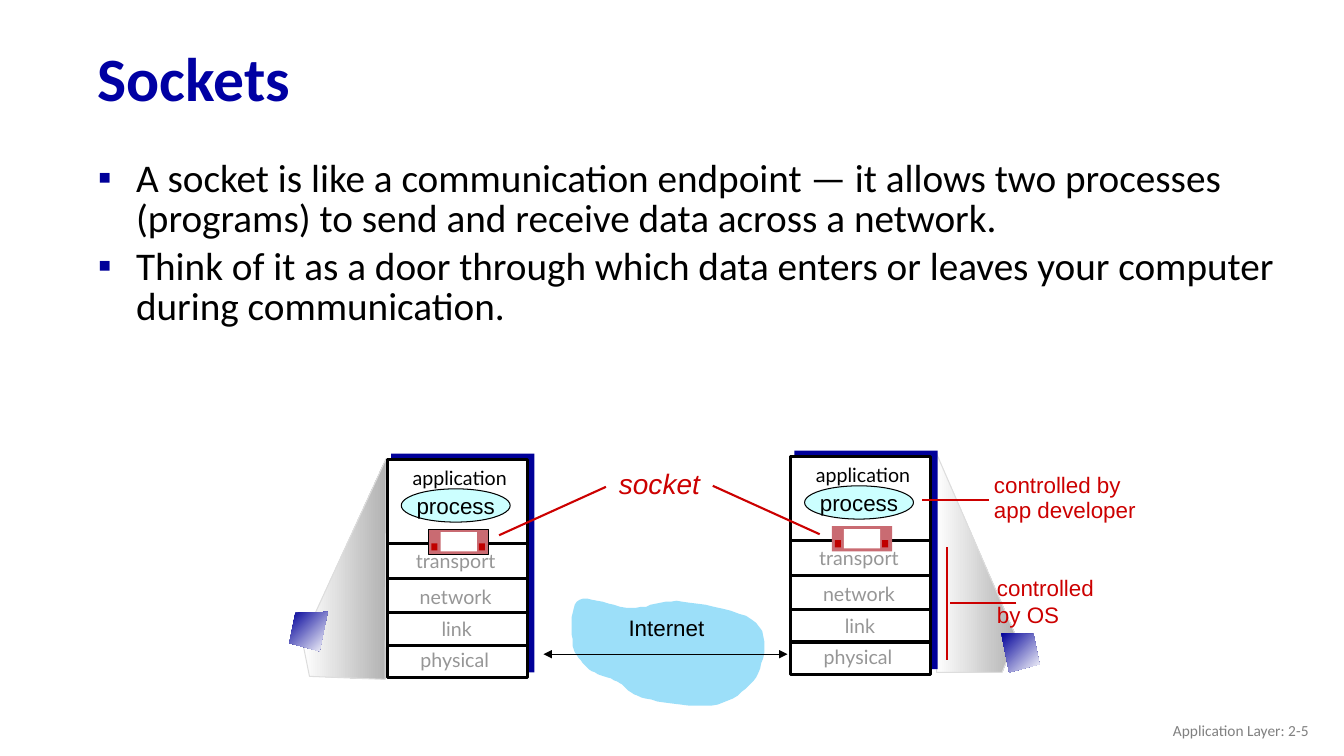
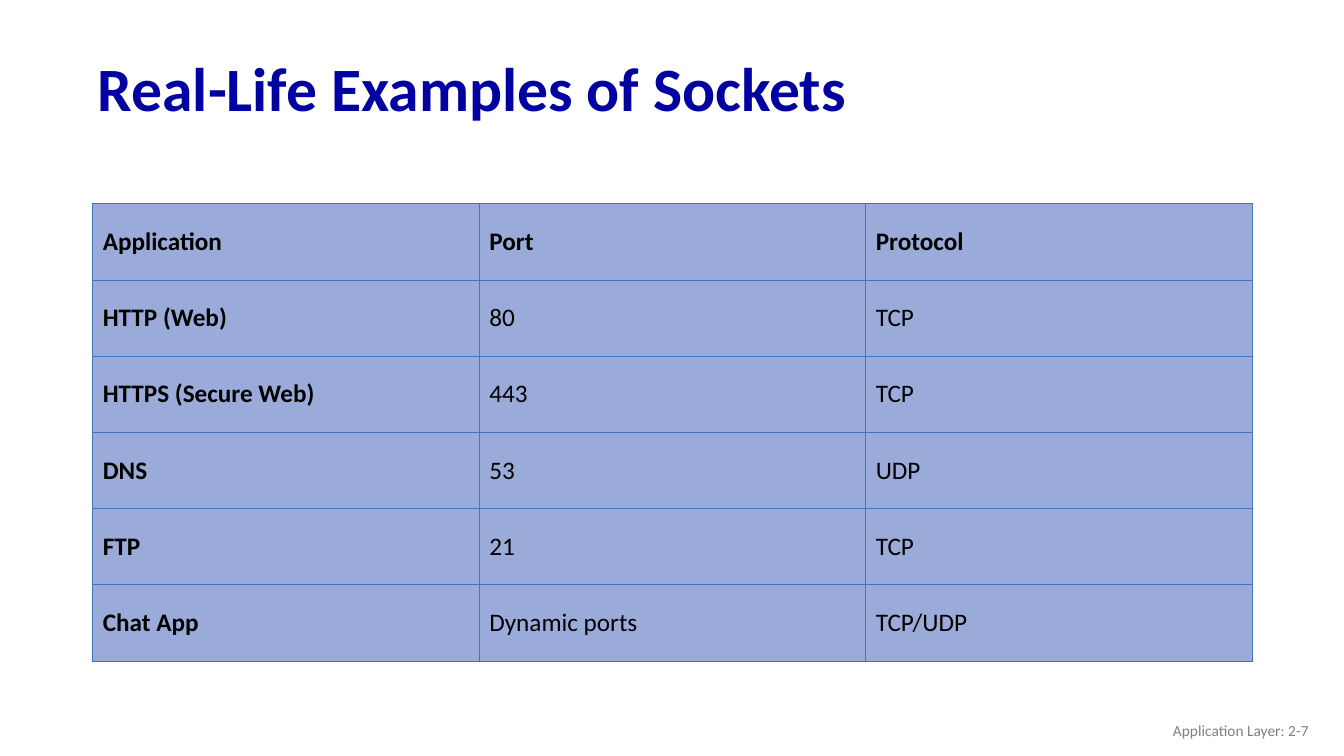
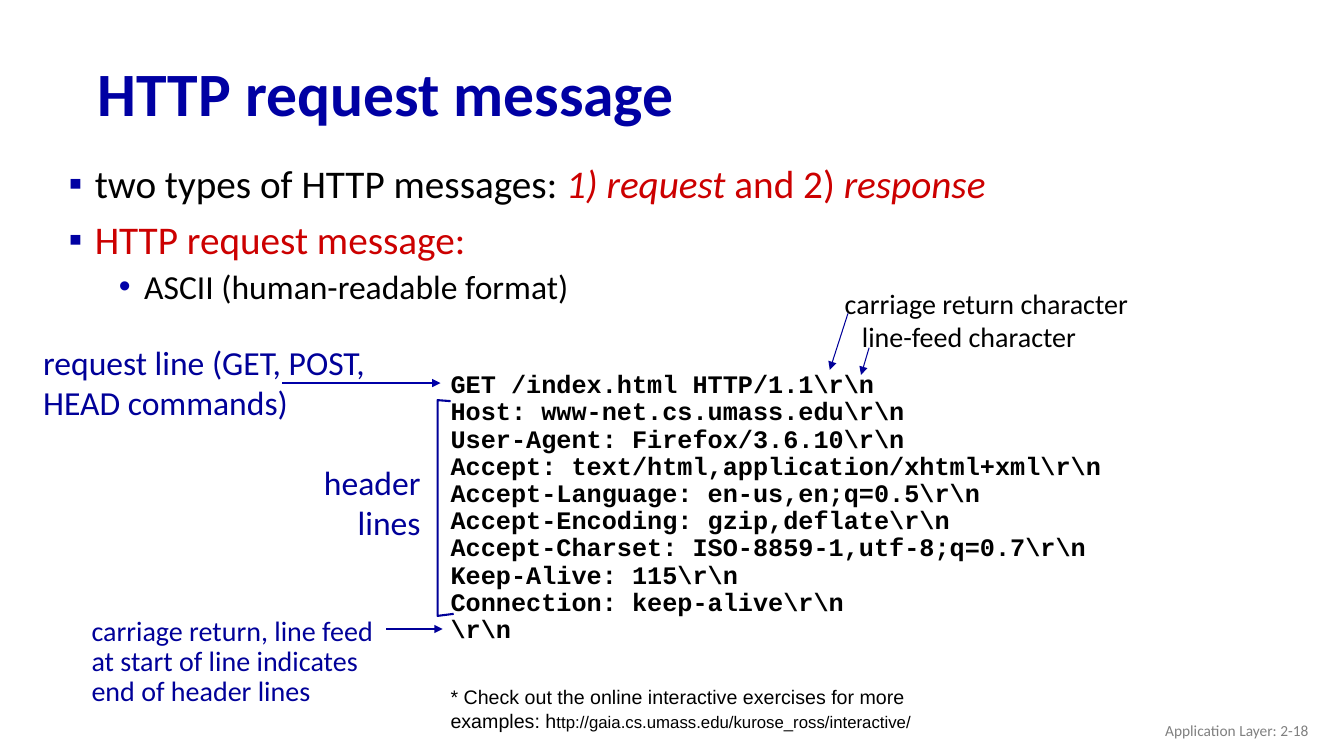
from lxml import etree
from pptx import Presentation
from pptx.dml.color import RGBColor
from pptx.enum.shapes import MSO_CONNECTOR as Connector, MSO_SHAPE as Preset
from pptx.enum.text import MSO_ANCHOR as Anchor, MSO_AUTO_SIZE as AutoSize, PP_ALIGN as Align
from pptx.oxml.ns import qn
from pptx.util import Emu, Pt

# Shared look: 100 px to the inch
SCALE = 9144
BLACK, WHITE, GREY = "000000", "FFFFFF", "969696"
TITLE_BLUE, NAVY, BULLET_BLUE, RED = "0000A3", "000099", "0000A8", "CC0000"
DARK_RED, BORDER_BLUE, TABLE_BLUE = "C00000", "4472C4", "9BABD9"
TITLE_LAYOUT, LIST_LAYOUT = 5, 1


def px(length):
    return Emu(round(length * SCALE))


def color(code):
    return RGBColor.from_string(code)


def add_element(parent, tag, **attributes):
    return etree.SubElement(parent, qn(tag), attributes)


# Text
def add_bullet(paragraph, character, bullet_color):
    properties = paragraph._p.get_or_add_pPr()
    add_element(add_element(properties, "a:buClr"), "a:srgbClr", val=bullet_color)
    add_element(properties, "a:buFont", typeface="Arial")
    add_element(properties, "a:buChar", char=character)


def format_paragraph(paragraph, runs, align=Align.LEFT, spacing=1, before=0, indent=None,
                     level=0, bullet=None, bullet_color=BLACK, size=18, font="Calibri",
                     ink=BLACK, bold=False, italic=False):
    if bullet:
        add_bullet(paragraph, bullet, bullet_color)
    if indent:
        margin, hanging = indent
        properties = paragraph._p.get_or_add_pPr()
        properties.set("marL", str(px(margin)))
        properties.set("indent", str(-px(hanging)))
    paragraph.level = level
    paragraph.alignment = align
    paragraph.line_spacing = spacing
    paragraph.space_before = Pt(before)
    base = dict(size=size, font=font, ink=ink, bold=bold, italic=italic)
    for text, changes in ([(runs, {})] if isinstance(runs, str) else runs):
        look = {**base, **changes}
        run = paragraph.add_run()
        run.text = text
        run.font.name = look["font"]
        run.font.size = Pt(look["size"])
        run.font.bold = look["bold"]
        run.font.italic = look["italic"]
        run.font.color.rgb = color(look["ink"])


def write(frame, paragraphs, anchor=Anchor.TOP, wrap=True, grow=False, **style):
    """Each paragraph is a string, a list of (text, changes), or a dict with its own format."""
    frame.word_wrap = wrap
    frame.auto_size = AutoSize.SHAPE_TO_FIT_TEXT if grow else AutoSize.NONE
    frame.vertical_anchor = anchor
    for index, content in enumerate(paragraphs):
        paragraph = frame.add_paragraph() if index else frame.paragraphs[0]
        own = content if isinstance(content, dict) else {"runs": content}
        settings = {**style, **own}
        if index == 0:
            settings["before"] = 0
        format_paragraph(paragraph, **settings)


def place(shape, box):
    shape.left, shape.top, shape.width, shape.height = map(px, box)


def add_label(slide, box, *paragraphs, grow=True, **style):
    label = slide.shapes.add_textbox(*map(px, box))
    write(label.text_frame, paragraphs, grow=grow, **style)


# Shapes
def paint(shape, fill=None, line=None, weight=0.75, gradient=None, angle=0):
    shape.shadow.inherit = False
    if gradient:
        shape.fill.gradient()
        shape.fill.gradient_angle = angle
        for stop, code in zip(shape.fill.gradient_stops, gradient):
            stop.color.rgb = color(code)
    elif fill:
        shape.fill.solid()
        shape.fill.fore_color.rgb = color(fill)
    else:
        shape.fill.background()
    if line:
        shape.line.color.rgb = color(line)
        shape.line.width = Pt(weight)
    else:
        shape.line.fill.background()
    return shape


def add_preset(slide, preset, box, **look):
    return paint(slide.shapes.add_shape(preset, *map(px, box)), **look)


def add_outline(slide, points, close=True, **look):
    builder = slide.shapes.build_freeform(*points[0], scale=SCALE)
    builder.add_line_segments(points[1:], close=close)
    return paint(builder.convert_to_shape(), **look)


def add_line(slide, start, end, ink, weight=1.5, head=False, tail=False):
    line = slide.shapes.add_connector(Connector.STRAIGHT, *map(px, (*start, *end)))
    line.line.color.rgb = color(ink)
    line.line.width = Pt(weight)
    outline = line.line._get_or_add_ln()
    for tag, wanted in (("a:headEnd", head), ("a:tailEnd", tail)):
        if wanted:
            add_element(outline, tag, type="triangle")
    add_element(line._element.spPr, "a:effectLst")


def trace_curve(start, segments, steps=10):
    """Points along a chain of cubic curves."""
    points = [start]
    for first, second, end in segments:
        origin = points[-1]
        for step in range(1, steps + 1):
            t = step / steps
            weights = ((1 - t) ** 3, 3 * t * (1 - t) ** 2, 3 * t * t * (1 - t), t ** 3)
            corners = (origin, first, second, end)
            points.append(tuple(sum(w * corner[axis] for w, corner in zip(weights, corners))
                                for axis in (0, 1)))
    return points


# Frame of every slide
def start_slide(presentation, layout, title, title_box, number):
    slide = presentation.slides.add_slide(presentation.slide_layouts[layout])
    place(slide.shapes.title, title_box)
    write(slide.shapes.title.text_frame, [title], anchor=Anchor.MIDDLE, spacing=0.9,
          size=44, ink=TITLE_BLUE, bold=True)
    add_label(slide, (1008, 705, 300, 40), f"Application Layer: {number}", grow=False,
              anchor=Anchor.MIDDLE, align=Align.RIGHT, size=11, ink="808080")
    return slide


def fill_body(slide, box, items, **style):
    body = slide.placeholders[1]
    place(body, box)
    write(body.text_frame, items, **style)


# Parts of the socket diagram
def draw_socket(slide, left, top, line):
    add_preset(slide, Preset.RECTANGLE, (left, top, 60, 25), fill="C96B72", line=line)
    add_preset(slide, Preset.RECTANGLE, (left + 12, top + 3, 36, 19), fill=WHITE)
    for offset in (3, 50):
        add_preset(slide, Preset.RECTANGLE, (left + offset, top + 14, 6, 7), fill=DARK_RED)


def draw_host(slide, left, top, socket_line=None):
    """Protocol stack with its process and socket."""
    width, height = 139, 216
    add_preset(slide, Preset.RECTANGLE, (left + 4, top - 6, 142, 217), fill=NAVY)
    add_preset(slide, Preset.RECTANGLE, (left, top, width, height), fill=WHITE,
               line=BLACK, weight=2.25)
    for offset in (83, 118, 152, 184):
        add_line(slide, (left, top + offset), (left + width, top + offset), BLACK, 2.25)
    layers = (("application", 0, -1, BLACK), ("transport", -4, 81, GREY),
              ("network", -4, 117, GREY), ("link", -3, 149, GREY), ("physical", -5, 180, GREY))
    for name, shift, offset, ink in layers:
        add_label(slide, (left + shift, top + offset, 144, 36), name, align=Align.CENTER,
                  spacing=1.1, size=14, font="Lato", ink=ink)
    process = add_preset(slide, Preset.OVAL, (left + 14, top + 29, 108, 33),
                         fill="CCFFFF", line=BLACK)
    write(process.text_frame, ["process"], anchor=Anchor.MIDDLE, wrap=False,
          align=Align.CENTER, size=16, font="Arial")
    draw_socket(slide, left + 41, top + 69, socket_line)


def draw_computer(slide, left, top, direction):
    """Tilted square; direction is 1 to the right of its corner, -1 to the left."""
    corners = ((0, 0), (32, 1), (38, 31), (8, 39))
    add_outline(slide, [(left + direction * x, top + y) for x, y in corners],
                gradient=(NAVY, WHITE), angle=315)


def draw_cloud(slide, left, top):
    segments = (((1, 33), (0, 10), (10, 5)), ((20, 0), (44, 13), (61, 13)),
                ((78, 14), (91, 4), (112, 7)), ((133, 9), (173, 16), (185, 28)),
                ((198, 39), (193, 64), (187, 78)), ((180, 91), (165, 104), (147, 109)),
                ((128, 113), (92, 107), (75, 103)), ((59, 99), (56, 91), (47, 86)),
                ((37, 81), (24, 79), (17, 72)), ((10, 65), (2, 56), (3, 44)))
    points = trace_curve((3, 44), segments)
    add_outline(slide, [(left + x, top + y) for x, y in points], fill="9CDFF9")
    add_label(slide, (left + 48, top + 14, 96, 37), "Internet", wrap=False,
              align=Align.CENTER, size=16, font="Arial")
    add_line(slide, (left - 26, top + 59), (left + 216, top + 59), BLACK, 0.75,
             head=True, tail=True)


def draw_notes(slide):
    """Red labels and their pointers."""
    red = dict(font="Arial", ink=RED, wrap=False)
    add_label(slide, (979, 565, 116, 90), "controlled", "by OS", size=16, **red)
    add_label(slide, (976, 466, 161, 58), "controlled by", "app developer",
              size=16, spacing=0.9, **red)
    add_label(slide, (604, 462, 110, 40), "socket", size=20, spacing=0.9, italic=True, **red)
    pointers = (((981, 496), (914, 496)), ((939, 543), (939, 655)), ((1008, 598), (942, 598)),
                ((495, 531), (601, 483)), ((813, 530), (707, 482)))
    for start, end in pointers:
        add_line(slide, start, end, RED)


def build_sockets(presentation):
    slide = start_slide(presentation, LIST_LAYOUT, "Sockets", (87, 32, 1150, 98), "2-5")
    fill_body(slide, (87, 154, 1199, 178), [
        "A socket is like a communication endpoint — it allows two processes (programs) "
        "to send and receive data across a network.",
        "Think of it as a door through which data enters or leaves your computer "
        "during communication.",
    ], size=28, spacing=0.85, before=5.6, indent=(38, 38), bullet="▪", bullet_color=NAVY)
    beams = (((300, 636), (383, 455), (382, 674), (307, 671)),
             ((1008, 632), (928, 448), (929, 667), (994, 667)))
    for beam in beams:
        add_outline(slide, beam, gradient=(WHITE, "B2B2B2"), line="DDDDDD")
    draw_cloud(slide, 565, 590)
    draw_host(slide, 384, 456, socket_line=BLACK)
    draw_host(slide, 784, 453)
    draw_notes(slide)
    draw_computer(slide, 325, 607, -1)
    draw_computer(slide, 993, 628, 1)


# Table slide
def border_cell(cell):
    properties = cell._tc.get_or_add_tcPr()
    for side in "LRTB":
        border = add_element(properties, f"a:ln{side}", w=str(Pt(0.5)))
        add_element(add_element(border, "a:solidFill"), "a:srgbClr", val=BORDER_BLUE)


def draw_table(slide, box, rows):
    table = slide.shapes.add_table(len(rows), len(rows[0]), *map(px, box)).table
    table.first_row = table.horz_banding = False
    for row_index, row in enumerate(rows):
        for column_index, text in enumerate(row):
            cell = table.cell(row_index, column_index)
            border_cell(cell)
            cell.fill.solid()
            cell.fill.fore_color.rgb = color(TABLE_BLUE)
            cell.vertical_anchor = Anchor.MIDDLE
            format_paragraph(cell.text_frame.paragraphs[0], text,
                             bold=row_index == 0 or column_index == 0)


def build_examples(presentation):
    slide = start_slide(presentation, TITLE_LAYOUT, "Real-Life Examples of Sockets",
                        (87, 42, 779, 98), "2-7")
    draw_table(slide, (92, 202, 1150, 454), (
        ("Application", "Port", "Protocol"),
        ("HTTP (Web)", "80", "TCP"),
        ("HTTPS (Secure Web)", "443", "TCP"),
        ("DNS", "53", "UDP"),
        ("FTP", "21", "TCP"),
        ("Chat App", "Dynamic ports", "TCP/UDP"),
    ))


# Message slide
def draw_message(slide, left, top):
    """Request text with the bracket around its header lines."""
    add_label(slide, (left, top, 672, 283),
              r"GET /index.html HTTP/1.1\r\n",
              r"Host: www-net.cs.umass.edu\r\n",
              r"User-Agent: Firefox/3.6.10\r\n",
              r"Accept: text/html,application/xhtml+xml\r\n",
              r"Accept-Language: en-us,en;q=0.5\r\n",
              r"Accept-Encoding: gzip,deflate\r\n",
              r"Accept-Charset: ISO-8859-1,utf-8;q=0.7\r\n",
              r"Keep-Alive: 115\r\n",
              r"Connection: keep-alive\r\n",
              r"\r\n",
              wrap=False, font="Courier New", bold=True, spacing=0.9, indent=(38, 38))
    bracket = ((10, 34), (-3, 33), (-3, 247), (13, 245))
    add_outline(slide, [(left + x, top + y) for x, y in bracket], close=False,
                line=NAVY, weight=1.5)


def draw_callouts(slide):
    """Labels around the message and their arrows."""
    add_label(slide, (33, 334, 346, 91), "request line (GET, POST,", "HEAD commands)",
              size=24, ink=NAVY)
    add_label(slide, (310, 453, 117, 91), "header", "lines", wrap=False,
              align=Align.RIGHT, size=24, ink=NAVY)
    add_label(slide, (81, 607, 303, 101),
              "carriage return, line feed at start of line indicates end of header lines",
              spacing=0.9, size=20, ink=NAVY)
    for box, text in (((828, 279, 304, 44), "carriage return character"),
                      ((845, 312, 235, 44), "line-feed character")):
        add_label(slide, box, text, wrap=False, size=20, indent=(38, 38))
    arrows = (((383, 624), (439, 624), NAVY, 1.5), ((280, 380), (437, 380), BULLET_BLUE, 1.5),
              ((841, 311), (823, 367), NAVY, 0.75), ((862, 345), (854, 372), NAVY, 0.75))
    for arrow in arrows:
        add_line(slide, *arrow, tail=True)


def build_request(presentation):
    slide = start_slide(presentation, LIST_LAYOUT, "HTTP request message",
                        (87, 47, 1150, 98), "2-18")
    fill_body(slide, (58, 158, 1275, 156), [
        [("two types of HTTP messages: ", {}), ("1) request ", dict(ink=RED, italic=True)),
         ("and 2) ", dict(ink=RED)), ("response", dict(ink=RED, italic=True))],
        dict(runs="HTTP request message:", ink=RED),
        dict(runs="ASCII (human-readable format)", level=1, indent=(75, 25), before=5,
             size=24, bullet="•", bullet_color=BULLET_BLUE),
    ], size=28, spacing=0.9, before=10, indent=(26, 26), bullet="▪", bullet_color=TITLE_BLUE)
    draw_message(slide, 437, 364)
    draw_callouts(slide)
    add_label(slide, (437, 675, 493, 57), [
        ("* Check out the online interactive exercises for more examples: h", {}),
        ("ttp://gaia.cs.umass.edu/kurose_ross/interactive/", dict(size=12)),
    ], size=14, font="Arial")


def main():
    presentation = Presentation()
    presentation.slide_width, presentation.slide_height = px(1333), px(750)
    build_sockets(presentation)
    build_examples(presentation)
    build_request(presentation)
    presentation.save("out.pptx")


if __name__ == "__main__":
    main()
